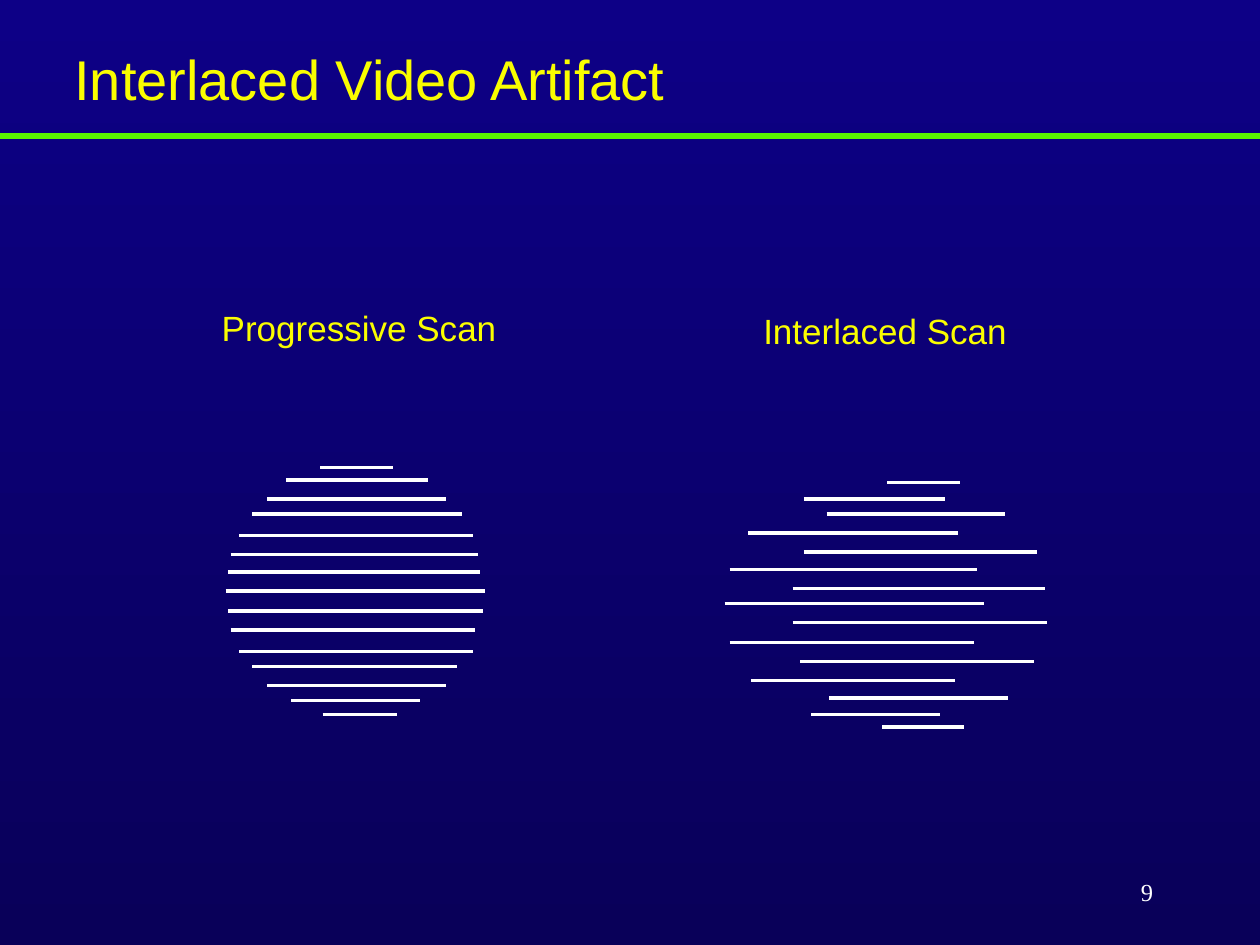
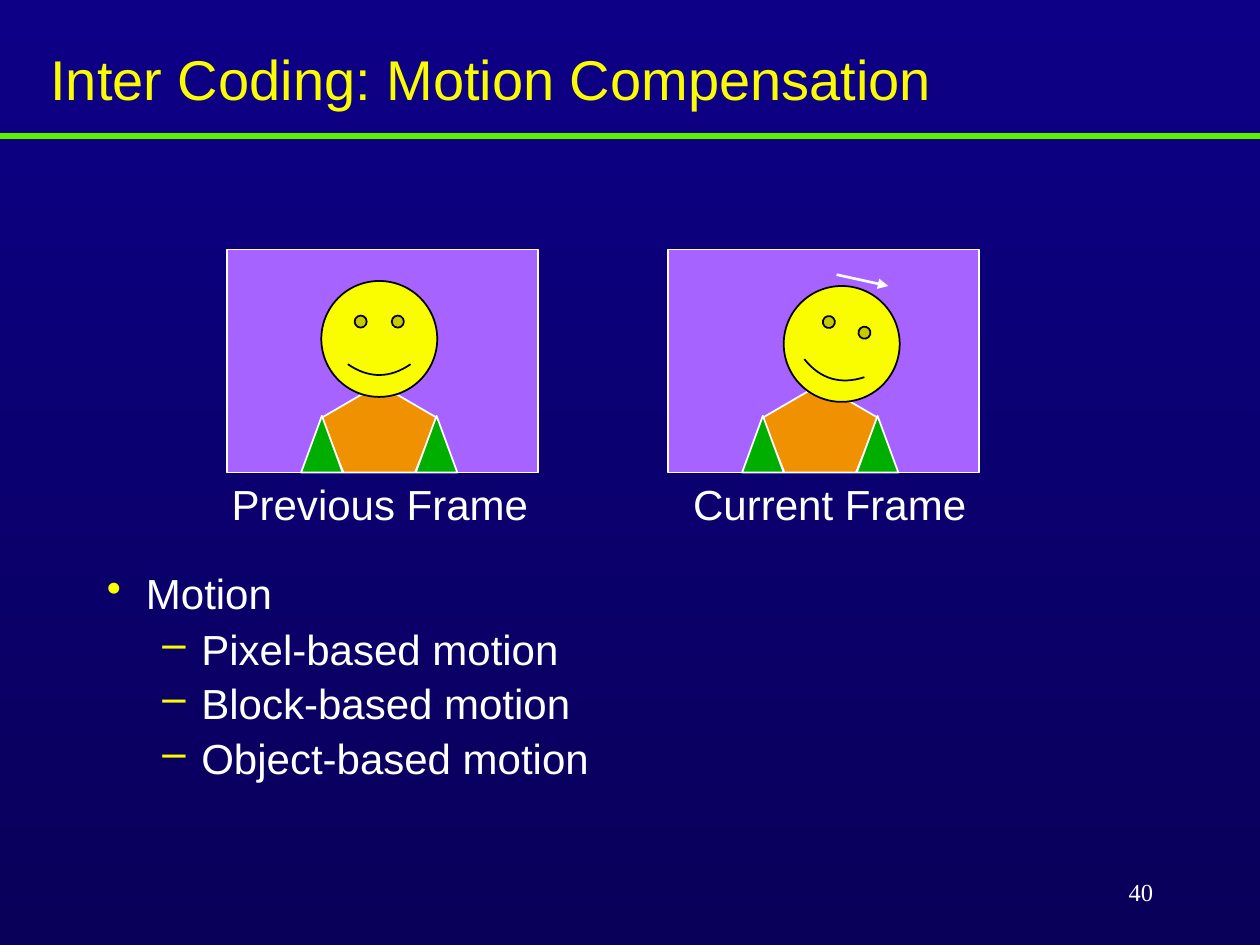
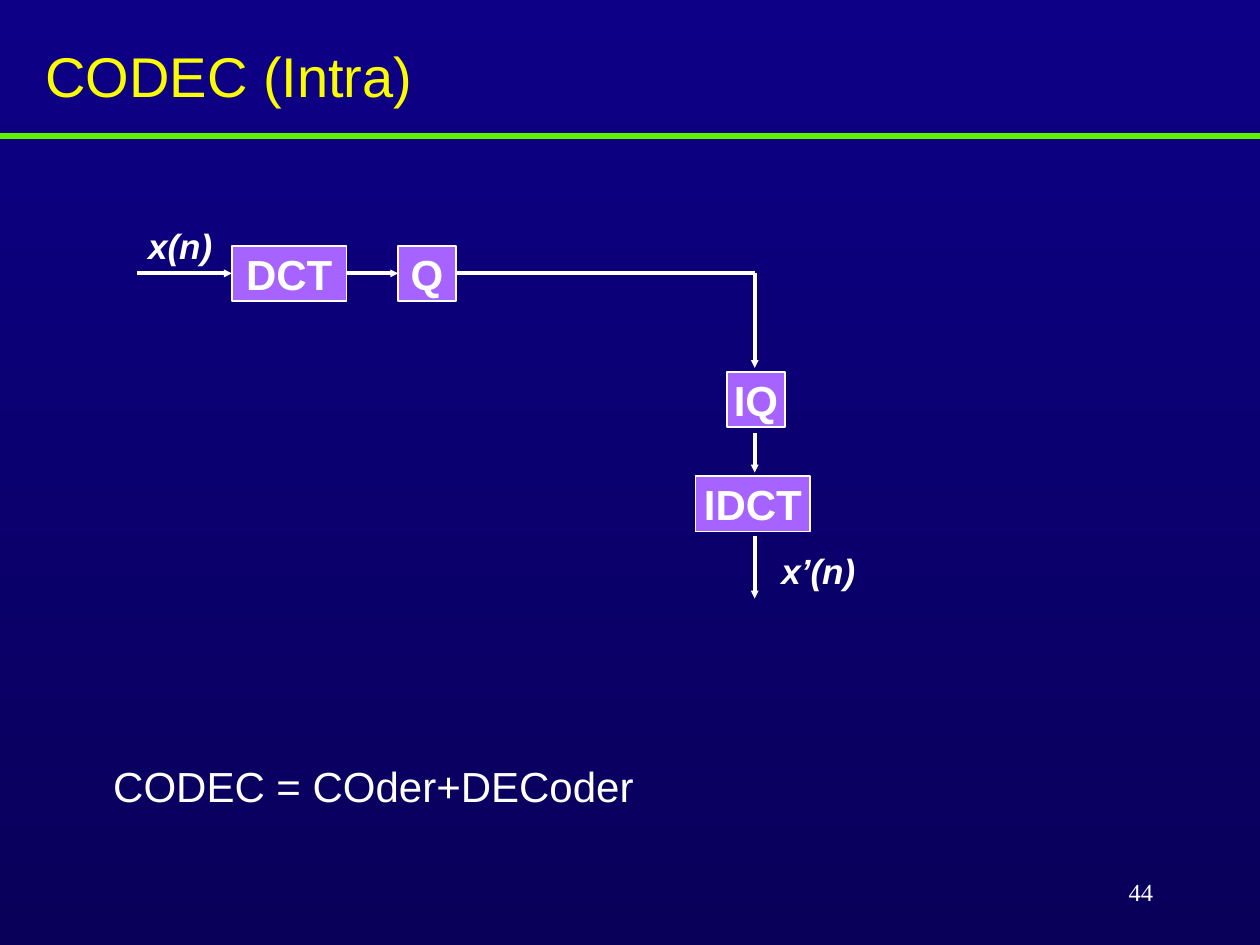
from pptx import Presentation
from pptx.dml.color import RGBColor
from pptx.enum.shapes import MSO_CONNECTOR, MSO_SHAPE as SHAPE
from pptx.enum.text import MSO_ANCHOR as ANCHOR, MSO_AUTO_SIZE, PP_ALIGN as ALIGN
from pptx.oxml.ns import qn
from pptx.util import Inches, Pt
from lxml.etree import SubElement

NIGHT_TOP = RGBColor(0x0D, 0x00, 0x86)
NIGHT_BOTTOM = RGBColor(0x09, 0x00, 0x59)
LIME = RGBColor(0x5A, 0xF4, 0x00)
YELLOW = RGBColor(0xFA, 0xFD, 0x00)
WHITE = RGBColor(0xFF, 0xFF, 0xFF)
BLACK = RGBColor(0x00, 0x00, 0x00)
PURPLE = RGBColor(0xA7, 0x63, 0xFF)
ORANGE = RGBColor(0xEF, 0x91, 0x00)
GREEN = RGBColor(0x00, 0xAE, 0x00)

SANS = "Arial"
SERIF = "Times New Roman"
TITLE_ONLY = 5

# Scan lines as (down, start, end), measured from the corner of each disc
PROGRESSIVE_ROWS = [
    (0.01, 0.79, 1.37), (0.11, 0.52, 1.65), (0.26, 0.37, 1.79),
    (0.38, 0.25, 1.92), (0.55, 0.15, 2.00), (0.70, 0.08, 2.04),
    (0.84, 0.06, 2.06), (0.99, 0.04, 2.10), (1.15, 0.06, 2.08),
    (1.30, 0.08, 2.02), (1.47, 0.15, 2.00), (1.59, 0.25, 1.88),
    (1.74, 0.37, 1.79), (1.86, 0.56, 1.58), (1.97, 0.81, 1.40),
]
INTERLACED_ROWS = [
    (0.03, 1.29, 1.87), (0.16, 0.63, 1.75), (0.28, 0.81, 2.23),
    (0.43, 0.19, 1.85), (0.58, 0.63, 2.48), (0.72, 0.04, 2.00),
    (0.87, 0.54, 2.54), (0.99, 0.00, 2.06), (1.14, 0.54, 2.56),
    (1.30, 0.04, 1.98), (1.45, 0.60, 2.46), (1.60, 0.21, 1.83),
    (1.74, 0.83, 2.25), (1.87, 0.69, 1.71), (1.97, 1.25, 1.90),
]


def style_font(font, size, color=WHITE, name=SANS, bold=False, italic=False):
    font.name = name
    font.size = Pt(size)
    font.color.rgb = color
    font.bold = bold
    font.italic = italic


def add_label(slide, text, left, top, width, height, size, align=ALIGN.LEFT,
              anchor=ANCHOR.TOP, wrap=True, **font_style):
    label = slide.shapes.add_textbox(Inches(left), Inches(top),
                                     Inches(width), Inches(height))
    frame = label.text_frame
    frame.text = text
    frame.word_wrap = wrap
    frame.vertical_anchor = anchor
    paragraph = frame.paragraphs[0]
    paragraph.alignment = align
    style_font(paragraph.runs[0].font, size, **font_style)
    return paragraph


def add_line(slide, x1, y1, x2, y2, width, color=WHITE, head=None):
    """Draw a line; head is the arrowhead size (sm, med, lg) at its end."""
    line = slide.shapes.add_connector(MSO_CONNECTOR.STRAIGHT, Inches(x1),
                                      Inches(y1), Inches(x2), Inches(y2))
    line.line.color.rgb = color
    line.line.width = Pt(width)
    properties = line.element.spPr
    if head:
        SubElement(properties.find(qn("a:ln")), qn("a:tailEnd"),
                   type="triangle", w=head, len=head)
    SubElement(properties, qn("a:effectLst"))


def add_figure(slide, kind, left, top, width, height, fill, outline=WHITE):
    figure = slide.shapes.add_shape(kind, Inches(left), Inches(top),
                                    Inches(width), Inches(height))
    figure.shadow.inherit = False
    figure.fill.solid()
    figure.fill.fore_color.rgb = fill
    figure.line.color.rgb = outline
    figure.line.width = Pt(1)
    return figure


def paint_background(master):
    fill = master.background.fill
    fill.gradient()
    fill.gradient_angle = 270
    for stop, color in zip(fill.gradient_stops, (NIGHT_TOP, NIGHT_BOTTOM)):
        stop.color.rgb = color


def start_slide(prs, title_text, number, left, top=0.3):
    """Add a slide with its title, the rule below it and its number."""
    slide = prs.slides.add_slide(prs.slide_layouts[TITLE_ONLY])
    add_line(slide, 0, 1.08, 10, 1.08, 3, LIME)
    title = slide.shapes.title
    title.left, title.top = Inches(left), Inches(top)
    title.width, title.height = Inches(9), Inches(0.64)
    frame = title.text_frame
    frame.text = title_text
    frame.auto_size = MSO_AUTO_SIZE.NONE
    frame.vertical_anchor = ANCHOR.TOP
    paragraph = frame.paragraphs[0]
    paragraph.alignment = ALIGN.LEFT
    style_font(paragraph.runs[0].font, 32, YELLOW)
    add_label(slide, str(number), 7.17, 6.83, 2.08, 0.5, 14, ALIGN.RIGHT,
              ANCHOR.MIDDLE, name=SERIF)
    return slide


def add_scan(slide, caption, caption_box, left, top, rows):
    paragraph = add_label(slide, caption, *caption_box, 20, ALIGN.CENTER,
                          color=YELLOW)
    paragraph.line_spacing = Pt(20)
    for down, start, end in rows:
        add_line(slide, left + start, top + down, left + end, top + down, 2)


def add_frame(slide, left, top, face_left, face_top, tilt=0):
    """Draw a video frame with a person whose head may move and tilt."""
    add_figure(slide, SHAPE.RECTANGLE, left, top, 2.47, 1.77, PURPLE)
    add_figure(slide, SHAPE.REGULAR_PENTAGON, left + 0.75, top + 1.07,
               0.92, 0.7, ORANGE)
    face = add_figure(slide, SHAPE.SMILEY_FACE, left + face_left,
                      top + face_top, 0.92, 0.92, YELLOW, BLACK)
    face.rotation = tilt
    for arm in (0.59, 1.5):
        add_figure(slide, SHAPE.ISOSCELES_TRIANGLE, left + arm, top + 1.32,
                   0.33, 0.45, GREEN)


def add_bullets(slide, items, left, top, width, height):
    """List (level, text) items with yellow bullets."""
    box = slide.shapes.add_textbox(Inches(left), Inches(top),
                                   Inches(width), Inches(height))
    frame = box.text_frame
    frame.word_wrap = True
    for index, (level, text) in enumerate(items):
        paragraph = frame.add_paragraph() if index else frame.paragraphs[0]
        paragraph.text = text
        paragraph.level = level
        paragraph.line_spacing = (0.9, 0.8)[level]
        if index:
            paragraph.space_before = Pt(8.25)
        properties = paragraph._p.get_or_add_pPr()
        properties.set("marL", str(Inches((0.31, 0.75)[level])))
        properties.set("indent", str(-Inches(0.31)))
        color = SubElement(properties, qn("a:buClr"))
        SubElement(color, qn("a:srgbClr"), val=str(YELLOW))
        SubElement(properties, qn("a:buChar"), char="•–"[level])
        style_font(paragraph.runs[0].font, 24)


def add_stage(slide, name, left, top, width):
    frame = add_figure(slide, SHAPE.RECTANGLE, left, top, width, 0.44,
                       PURPLE).text_frame
    frame.margin_left = frame.margin_right = 0
    frame.margin_top = frame.margin_bottom = 0
    frame.word_wrap = False
    frame.vertical_anchor = ANCHOR.MIDDLE
    frame.text = name
    frame.paragraphs[0].alignment = ALIGN.CENTER
    style_font(frame.paragraphs[0].runs[0].font, 24, bold=True)


def build_interlacing(prs):
    slide = start_slide(prs, "Interlaced Video Artifact", 9, 0.49)
    add_scan(slide, "Progressive Scan", (1.65, 2.44, 2.4, 0.38),
             1.75, 3.7, PROGRESSIVE_ROWS)
    add_scan(slide, "Interlaced Scan", (5.95, 2.46, 2.15, 0.38),
             5.75, 3.8, INTERLACED_ROWS)


def build_motion(prs):
    slide = start_slide(prs, "Inter Coding: Motion Compensation", 40, 0.3)
    add_frame(slide, 1.8, 1.98, 0.75, 0.25)
    add_frame(slide, 5.3, 1.98, 0.92, 0.29, tilt=16.7)
    add_line(slide, 6.64, 2.18, 7.05, 2.27, 1.5, head="med")
    for caption, left, width in (("Previous Frame", 1.71, 2.61),
                                 ("Current Frame", 5.35, 2.47)):
        add_label(slide, caption, left, 3.75, width, 0.5, 24, ALIGN.CENTER,
                  ANCHOR.MIDDLE)
    add_bullets(slide, [(0, "Motion"), (1, "Pixel-based motion"),
                        (1, "Block-based motion"),
                        (1, "Object-based motion")], 0.75, 4.5, 8.5, 2.17)


def build_codec(prs):
    slide = start_slide(prs, "CODEC (Intra)", 44, 0.26, 0.28)
    for name, left, top, width in (("DCT", 1.84, 1.95, 0.91),
                                   ("Q", 3.16, 1.95, 0.46),
                                   ("IQ", 5.77, 2.95, 0.46),
                                   ("IDCT", 5.52, 3.78, 0.91)):
        add_stage(slide, name, left, top, width)

    flow_y, decoder_x = 2.17, 5.99
    for start, end, head in ((1.09, 1.84, "sm"), (2.75, 3.16, "sm"),
                             (3.63, decoder_x, None)):
        add_line(slide, start, flow_y, end, flow_y, 2.25, head=head)
    for start, end in ((flow_y, 2.92), (3.44, 3.75), (4.25, 4.75)):
        add_line(slide, decoder_x, start, decoder_x, end, 2.25, head="sm")

    for signal, left, top, width in (("x(n)", 1.07, 1.73, 0.72),
                                     ("x’(n)", 6.1, 4.31, 0.79)):
        add_label(slide, signal, left, top, width, 0.44, 20, ALIGN.CENTER,
                  ANCHOR.MIDDLE, wrap=False, bold=True, italic=True)
    add_label(slide, "CODEC = COder+DECoder", 0.8, 5.99, 4.38, 0.51, 24)


def main():
    prs = Presentation()
    prs.slide_width, prs.slide_height = Inches(10), Inches(7.5)
    paint_background(prs.slide_master)
    build_interlacing(prs)
    build_motion(prs)
    build_codec(prs)
    prs.save("out.pptx")


if __name__ == "__main__":
    main()
